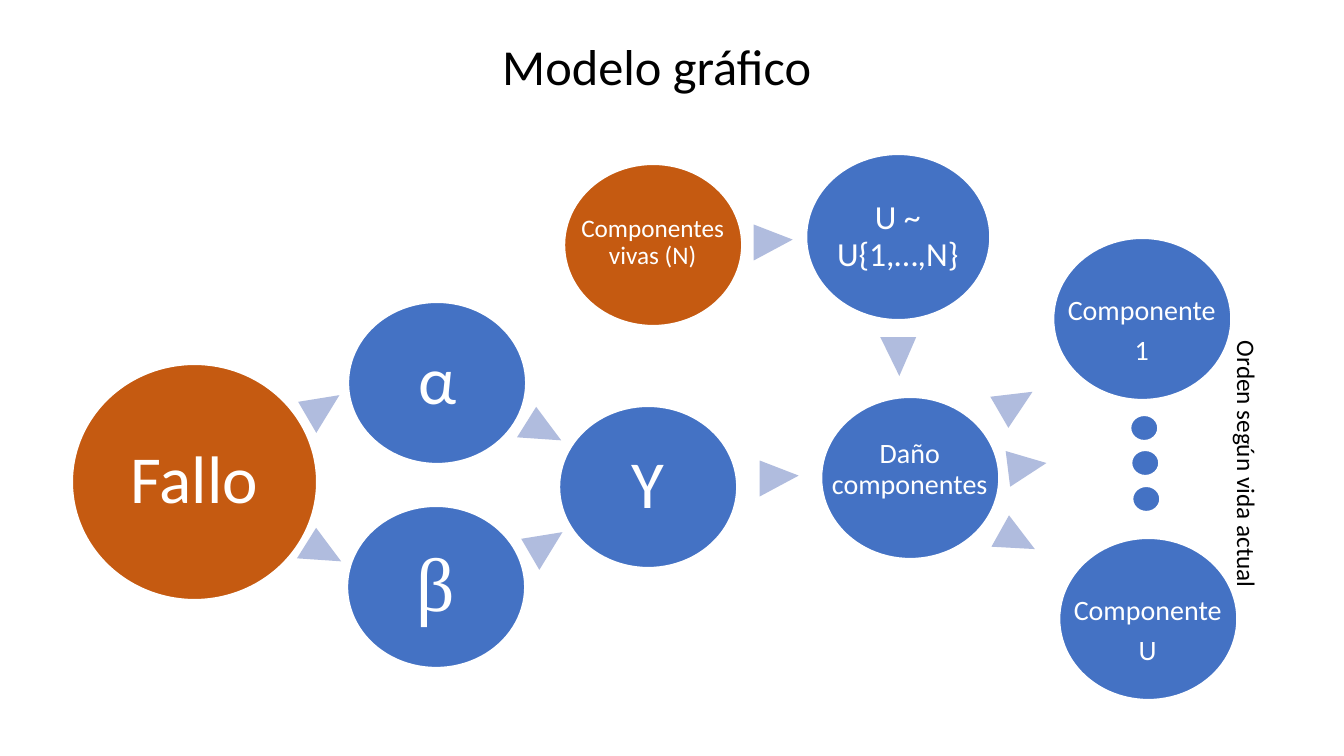
from pptx import Presentation
from pptx import util as u
from pptx.dml.color import RGBColor
from pptx.enum import shapes, text

BLUE, RUST, PALE = "4472C4", "C55A11", "B0BCDE"
WHITE, BLACK = "FFFFFF", "000000"
SHAPE = shapes.MSO_SHAPE
ALIGN = text.PP_ALIGN
MIDDLE = text.MSO_ANCHOR.MIDDLE


def px(*vals):
    return [u.Inches(val / 100.8) for val in vals]


def hue(code):
    return RGBColor.from_string(code)


class Board:
    font = "Calibri"

    def __init__(self, deck):
        self.slide = deck.slides.add_slide(deck.slide_layouts[5])

    def style(self, par, size, color, align, font=None):
        par.alignment = align
        par.font.name = font or self.font
        par.font.size = u.Pt(size)
        par.font.color.rgb = hue(color)

    def title(self, words, *box):
        head = self.slide.shapes.title
        head.left, head.top, head.width, head.height = px(*box)
        frame = head.text_frame
        frame.text = words
        frame.vertical_anchor = MIDDLE
        self.style(frame.paragraphs[0], 36, BLACK, ALIGN.LEFT)

    def oval(self, home, fill, *box):
        ball = home.add_shape(SHAPE.OVAL, *px(*box))
        ball.shadow.inherit = False
        ball.fill.solid()
        ball.fill.fore_color.rgb = hue(fill)
        ball.line.color.rgb = hue(WHITE)
        ball.line.width = u.Pt(1.5)

    def node(self, words, x, y, size, fill=BLUE, w=178, h=162,
             span=126, drop=0, font=None):
        home = self.slide.shapes.add_group_shape().shapes
        self.oval(home, fill, x, y, w, h)
        left = x + (w - span) // 2
        frame = home.add_textbox(*px(left, y + drop, span, h)).text_frame
        frame.word_wrap = True
        frame.vertical_anchor = MIDDLE
        frame.margin_left = frame.margin_right = u.Inches(0.03)
        frame.margin_top = frame.margin_bottom = u.Inches(0.03)
        frame.text = words
        for par in frame.paragraphs:
            self.style(par, size, WHITE, ALIGN.CENTER, font)
            par.line_spacing = 0.9
            par.space_after = u.Pt(0.35 * size)

    def dot(self, x, y):
        self.oval(self.slide.shapes, BLUE, x, y, 28, 26)

    def wedge(self, x, y, turn, peak):
        tip = self.slide.shapes.add_shape(
            SHAPE.ISOSCELES_TRIANGLE, *px(x, y, 36, 39))
        tip.adjustments[0] = peak
        tip.rotation = turn
        tip.shadow.inherit = False
        tip.fill.solid()
        tip.fill.fore_color.rgb = hue(PALE)
        tip.line.fill.background()

    def note(self, words, turn, *box):
        area = self.slide.shapes.add_textbox(*px(*box))
        area.rotation = turn
        frame = area.text_frame
        frame.word_wrap = True
        frame.text = words
        self.style(frame.paragraphs[0], 18, BLACK, ALIGN.LEFT)


deck = Presentation()
deck.slide_width, deck.slide_height = u.Inches(13.33), u.Inches(7.5)
board = Board(deck)
board.title("Modelo gráfico", 492, 29, 342, 72)

board.node("Fallo", 72, 364, 48, RUST, w=245, h=236, span=173)
board.node("α", 348, 302, 48)
board.node("β", 347, 506, 54, font="Times New Roman")
board.node("Y", 559, 406, 48)
board.node("Componentes vivas (N)", 564, 164, 18, RUST, span=185, drop=-2)
board.node("U ~ U{1,…,N}", 806, 154, 24, w=184, h=166, span=131)
board.node("Daño componentes", 821, 397, 20, span=217, drop=-8)
for name, x, y in (("U", 1059, 538), ("1", 1053, 238)):
    board.node("Componente\n" + name, x, y, 20, span=217, drop=12)

for x, y, turn in ((306, 388, 59.7), (529, 525, 59.7), (305, 534, 122.1),
                   (525, 413, 122.1), (755, 223, 90), (761, 459, 90)):
    board.wedge(x, y, turn, 0.42)
for x, y, turn in ((880, 337, 180), (998, 383, 59.9),
                   (999, 521, 119.2), (1009, 447, 82.9)):
    board.wedge(x, y, turn, 0.47)

for x, y in ((1130, 415), (1131, 450), (1132, 486)):
    board.dot(x, y)
board.note("Orden según vida actual", 90, 1111, 447, 272, 40)

deck.save("out.pptx")
